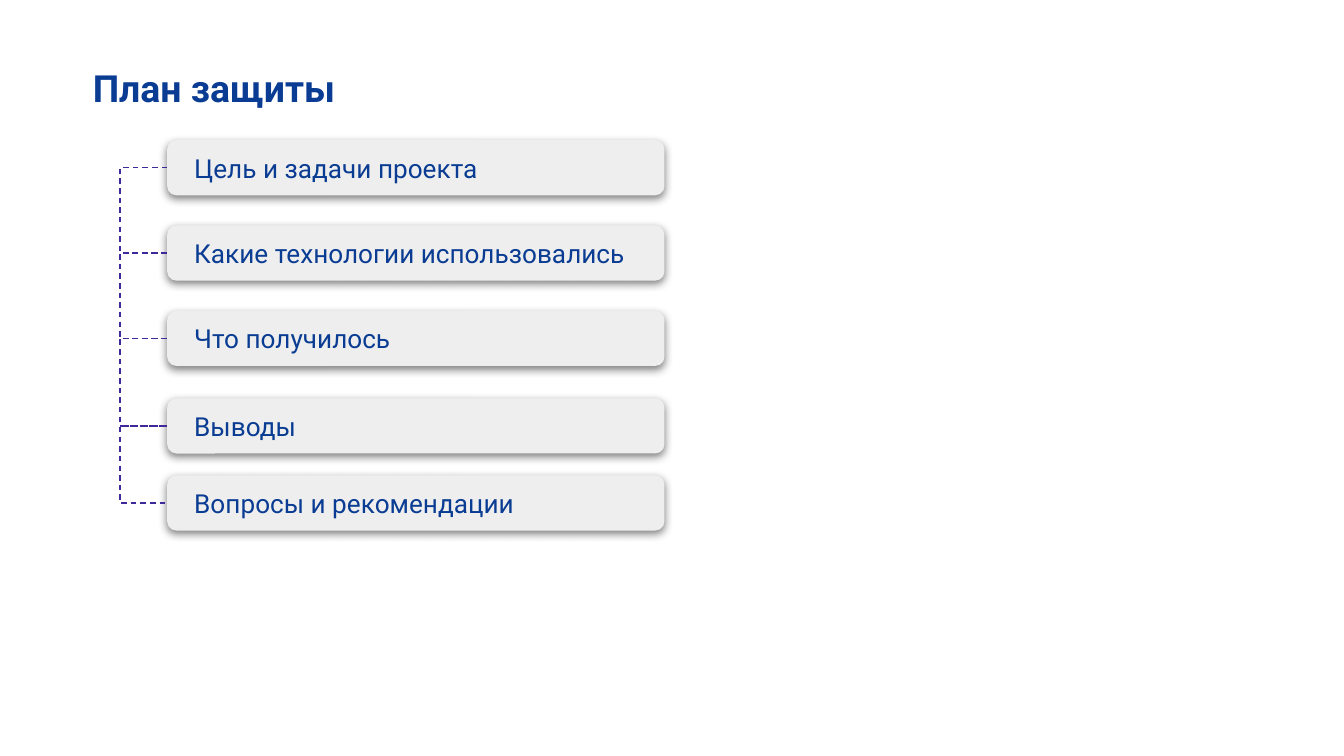
from lxml import etree
from pptx import Presentation
from pptx.dml.color import RGBColor
from pptx.enum.dml import MSO_LINE
from pptx.enum.shapes import MSO_CONNECTOR, MSO_SHAPE
from pptx.enum.text import MSO_ANCHOR, PP_ALIGN
from pptx.oxml import parse_xml
from pptx.oxml.ns import nsdecls, qn
from pptx.util import Pt

ROUNDED = MSO_SHAPE.ROUNDED_RECTANGLE
ELBOW = MSO_CONNECTOR.ELBOW
DASH = MSO_LINE.DASH
TOP, MIDDLE = MSO_ANCHOR.TOP, MSO_ANCHOR.MIDDLE
LEFT = PP_ALIGN.LEFT

TITLE = "План защиты"
# text, top of the box
ITEMS = [
    ("Цель и задачи проекта", 75.1),
    ("Какие технологии использовались", 120.8),
    ("Что получилось", 166.5),
    ("Выводы", 213.4),
    ("Вопросы и рекомендации", 254.7),
]

FONT = "Roboto"
BLUE, VIOLET, GREY = "093C92", "3F299A", "EEEEEE"
BOX_X, BOX_W, BOX_H = 89.6, 266.4, 29.6
BRACKET_DEPTH = 22.25
BRACKET_W = 0.05  # an elbow needs some width for its bend to scale from


def color(hex_value):
    return RGBColor.from_string(hex_value)


def write(sp, text, size, bold=False, anchor=MIDDLE, inset=7.2):
    tf = sp.text_frame
    tf.word_wrap = True
    tf.vertical_anchor = anchor
    tf.margin_left = tf.margin_right = Pt(inset)
    tf.margin_top = tf.margin_bottom = Pt(7.2)
    p = tf.paragraphs[0]
    p.alignment = LEFT
    r = p.add_run()
    r.text = text
    r.font.name = FONT
    r.font.size = Pt(size)
    r.font.bold = bold
    r.font.color.rgb = color(BLUE)


def add_shadow(sp):
    sp.shadow.inherit = False
    effects = sp._element.spPr.find(qn("a:effectLst"))
    effects.append(parse_xml(
        f'<a:outerShdw {nsdecls("a")} blurRad="{Pt(4.5)}" dist="{Pt(1.5)}" '
        'dir="5400000" algn="bl" rotWithShape="0">'
        '<a:srgbClr val="000000"><a:alpha val="50000"/></a:srgbClr>'
        '</a:outerShdw>'))


def add_box(s, text, top):
    sp = s.shapes.add_shape(ROUNDED, Pt(BOX_X), Pt(top), Pt(BOX_W), Pt(BOX_H))
    sp.adjustments[0] = 0.167
    sp.fill.solid()
    sp.fill.fore_color.rgb = color(GREY)
    sp.line.fill.background()
    add_shadow(sp)
    write(sp, text, 14, inset=13)


def add_bracket(s, upper, lower):
    """Draw a dashed elbow between two heights, left of the boxes."""
    line = s.shapes.add_connector(
        ELBOW, Pt(BOX_X), Pt(upper), Pt(BOX_X + BRACKET_W), Pt(lower))
    line.line.color.rgb = color(VIOLET)
    line.line.width = Pt(0.75)
    line.line.dash_style = DASH
    spPr = line._element.spPr
    guides = spPr.find(qn("a:prstGeom")).get_or_add_avLst()
    bend = round(-BRACKET_DEPTH / BRACKET_W * 100000)
    etree.SubElement(guides, qn("a:gd"), name="adj1", fmla=f"val {bend}")
    etree.SubElement(spPr, qn("a:effectLst"))


prs = Presentation()
prs.slide_width, prs.slide_height = Pt(720), Pt(405)
s = prs.slides.add_slide(prs.slide_layouts[5])

title = s.shapes.title
title.left, title.top, title.width, title.height = Pt(42.5), Pt(27.7), Pt(671), Pt(38.9)
write(title, TITLE, 20, bold=True, anchor=TOP)

for text, top in ITEMS:
    add_box(s, text, top)

middles = [top + BOX_H / 2 for _, top in ITEMS]
for upper, lower in zip(middles, middles[1:]):
    add_bracket(s, upper, lower)

prs.save("out.pptx")
